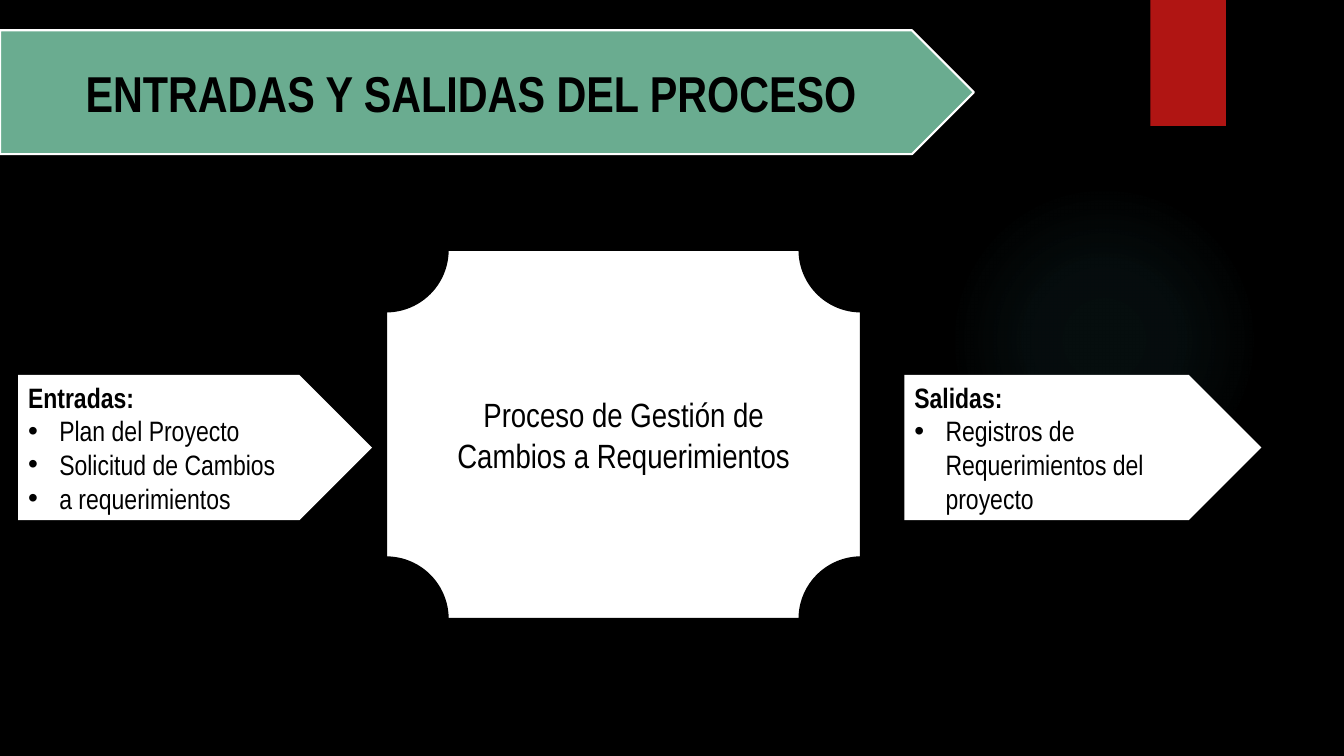
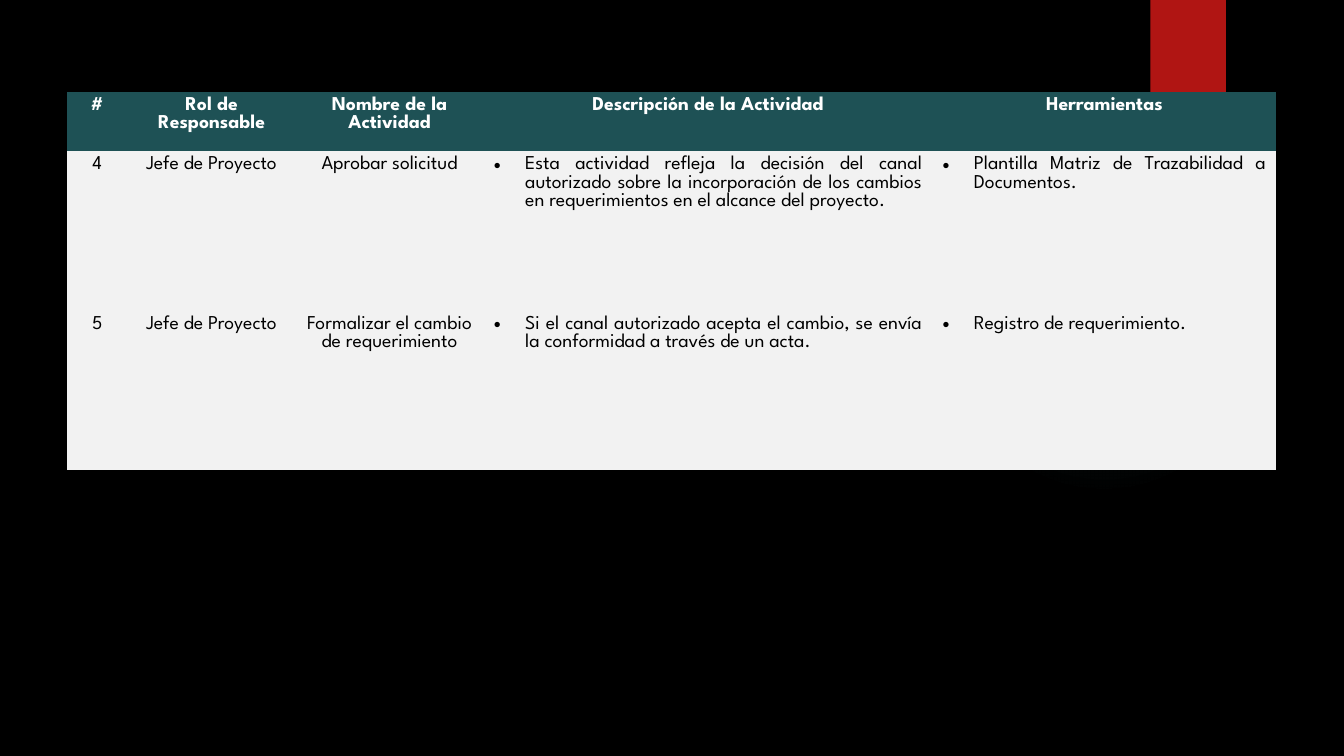
import pptx
import pptx.util
import pptx.dml.color
import pptx.enum.shapes
import pptx.enum.text
import pptx.oxml
import pptx.oxml.ns

Inches, Pt = pptx.util.Inches, pptx.util.Pt
SHAPE = pptx.enum.shapes.MSO_SHAPE
ALIGN = pptx.enum.text.PP_ALIGN
MIDDLE = pptx.enum.text.MSO_ANCHOR.MIDDLE
DRAWING = 'xmlns:a="http://schemas.openxmlformats.org/drawingml/2006/main"'

# Shared look
BLACK, WHITE, RED, GREEN = "000000", "FFFFFF", "B01513", "6AAC90"
HEADER, ROW, GLOW = "1E5155", "F2F2F2", "50B9C1"
SHAPE_FONT, TABLE_FONT = "Arial Narrow", "League Spartan"
NO_TABLE_STYLE = "{2D5ABB26-0587-4C30-8999-92F81FD0307C}"
INDENT = 0.31

# Content
TITLE = "ENTRADAS Y SALIDAS DEL PROCESO"
PROCESS = "Proceso de Gestión de Cambios a Requerimientos"
FLOW_TOP, FLOW_HEIGHT = 3.72, 1.44
FLOWS = [  # left, width, heading, items
    (0.18, 3.51, "Entradas:", ["Plan del Proyecto", "Solicitud de Cambios", "a requerimientos"]),
    (8.97, 3.54, "Salidas:", ["Registros de Requerimientos del proyecto"]),
]
COLUMNS = [  # heading, width, bulleted
    ("#", 0.61, False),
    ("Rol de Responsable", 1.66, False),
    ("Nombre de la Actividad", 1.87, False),
    ("Descripción de la Actividad", 4.45, True),
    ("Herramientas", 3.41, True),
]
ROW_HEIGHTS = [0.59, 1.58, 1.58]
ACTIVITIES = [
    ("4", "Jefe de Proyecto", "Aprobar solicitud",
     "Esta actividad refleja la decisión del canal autorizado sobre la incorporación "
     "de los cambios en requerimientos en el alcance del proyecto.",
     "Plantilla Matriz de Trazabilidad a Documentos."),
    ("5", "Jefe de Proyecto", "Formalizar el cambio de requerimiento",
     "Si el canal autorizado acepta el cambio, se envía la conformidad a través de un acta.",
     "Registro de requerimiento."),
]


def rgb(value):
    return pptx.dml.color.RGBColor.from_string(value)


def add_block(page, kind, left, top, width, height, fill, line=None):
    block = page.shapes.add_shape(kind, *map(Inches, (left, top, width, height)))
    block.shadow.inherit = False
    block.fill.solid()
    block.fill.fore_color.rgb = rgb(fill)
    if line:
        block.line.color.rgb = rgb(line)
        block.line.width = Pt(1.5)
    else:
        block.line.fill.background()
    return block


def write(frame, lines, size, font, color=BLACK, bold=False, align=ALIGN.LEFT):
    frame.text = "\n".join(lines)
    for para in frame.paragraphs:
        para.alignment = align
        for span in para.runs:
            span.font.size, span.font.name, span.font.bold = Pt(size), font, bold
            span.font.color.rgb = rgb(color)


def add_bullet(para):
    properties = para._p.get_or_add_pPr()
    properties.set("marL", str(Inches(INDENT)))
    properties.set("indent", str(-Inches(INDENT)))
    for markup in (f'<a:buFont {DRAWING} typeface="Arial"/>', f'<a:buChar {DRAWING} char="•"/>'):
        properties.append(pptx.oxml.parse_xml(markup))


def add_page(deck):
    page = deck.slides.add_slide(deck.slide_layouts[6])
    # Faint round glow
    glow = add_block(page, SHAPE.OVAL, 9.41, 1.83, 3.08, 3.08, GLOW)
    stops = "".join(
        f'<a:gs pos="{position}000"><a:srgbClr val="{GLOW}"><a:alpha val="{alpha}000"/></a:srgbClr></a:gs>'
        for position, alpha in [(0, 7), (36, 6), (69, 0)])
    gradient = pptx.oxml.parse_xml(
        f'<a:gradFill {DRAWING}><a:gsLst>{stops}</a:gsLst><a:path path="circle">'
        '<a:fillToRect l="50000" t="50000" r="50000" b="50000"/></a:path></a:gradFill>')
    properties = glow._element.spPr
    properties.replace(properties.find(pptx.oxml.ns.qn("a:solidFill")), gradient)
    # Red ribbon with a soft shadow
    ribbon = add_block(page, SHAPE.RECTANGLE, 11.41, 0, 0.75, 1.25, RED)
    ribbon._element.spPr.find(pptx.oxml.ns.qn("a:effectLst")).append(pptx.oxml.parse_xml(
        f'<a:outerShdw {DRAWING} blurRad="{Pt(3)}" dist="{Pt(2)}" dir="5400000">'
        f'<a:srgbClr val="{BLACK}"><a:alpha val="45000"/></a:srgbClr></a:outerShdw>'))
    return page


def build_flow(deck):
    page = add_page(deck)
    banner = add_block(page, SHAPE.PENTAGON, 0, 0.3, 9.66, 1.23, GREEN, WHITE)
    write(banner.text_frame, [TITLE], 36, SHAPE_FONT, bold=True, align=ALIGN.CENTER)
    for left, width, heading, items in FLOWS:
        arrow = add_block(page, SHAPE.PENTAGON, left, FLOW_TOP, width, FLOW_HEIGHT, WHITE)
        write(arrow.text_frame, [heading] + items, 20, SHAPE_FONT)
        first, *rest = arrow.text_frame.paragraphs
        first.runs[0].font.bold = True
        for para in rest:
            add_bullet(para)
    plaque = add_block(page, SHAPE.PLAQUE, 3.83, 2.48, 4.71, 3.66, WHITE, BLACK)
    write(plaque.text_frame, [PROCESS], 24, SHAPE_FONT, align=ALIGN.CENTER)
    for box in page.shapes:
        box.text_frame.vertical_anchor = MIDDLE


def build_activities(deck):
    page = add_page(deck)
    headings, widths, bulleted = zip(*COLUMNS)
    frame = page.shapes.add_table(
        len(ROW_HEIGHTS), len(COLUMNS), Inches(0.66), Inches(0.91),
        Inches(sum(widths)), Inches(sum(ROW_HEIGHTS)))
    table = frame.table
    table.horz_banding = table.first_row = False
    table._tbl.tblPr.find(pptx.oxml.ns.qn("a:tableStyleId")).text = NO_TABLE_STYLE
    for column, width in zip(table.columns, widths):
        column.width = Inches(width)
    for row, height in zip(table.rows, ROW_HEIGHTS):
        row.height = Inches(height)
    for r, texts in enumerate([headings] + ACTIVITIES):
        is_header = r == 0
        for c, text in enumerate(texts):
            cell = table.cell(r, c)
            cell.fill.solid()
            cell.fill.fore_color.rgb = rgb(HEADER if is_header else ROW)
            has_bullet = bulleted[c] and not is_header
            write(cell.text_frame, [text], 14, TABLE_FONT, WHITE if is_header else BLACK,
                  is_header, ALIGN.JUSTIFY if has_bullet else ALIGN.CENTER)
            if has_bullet:
                add_bullet(cell.text_frame.paragraphs[0])


def main():
    deck = pptx.Presentation()
    deck.slide_width, deck.slide_height = Inches(13.33), Inches(7.5)
    background = deck.slide_master.background.fill
    background.solid()
    background.fore_color.rgb = rgb(BLACK)
    build_flow(deck)
    build_activities(deck)
    deck.save("out.pptx")


if __name__ == "__main__":
    main()
